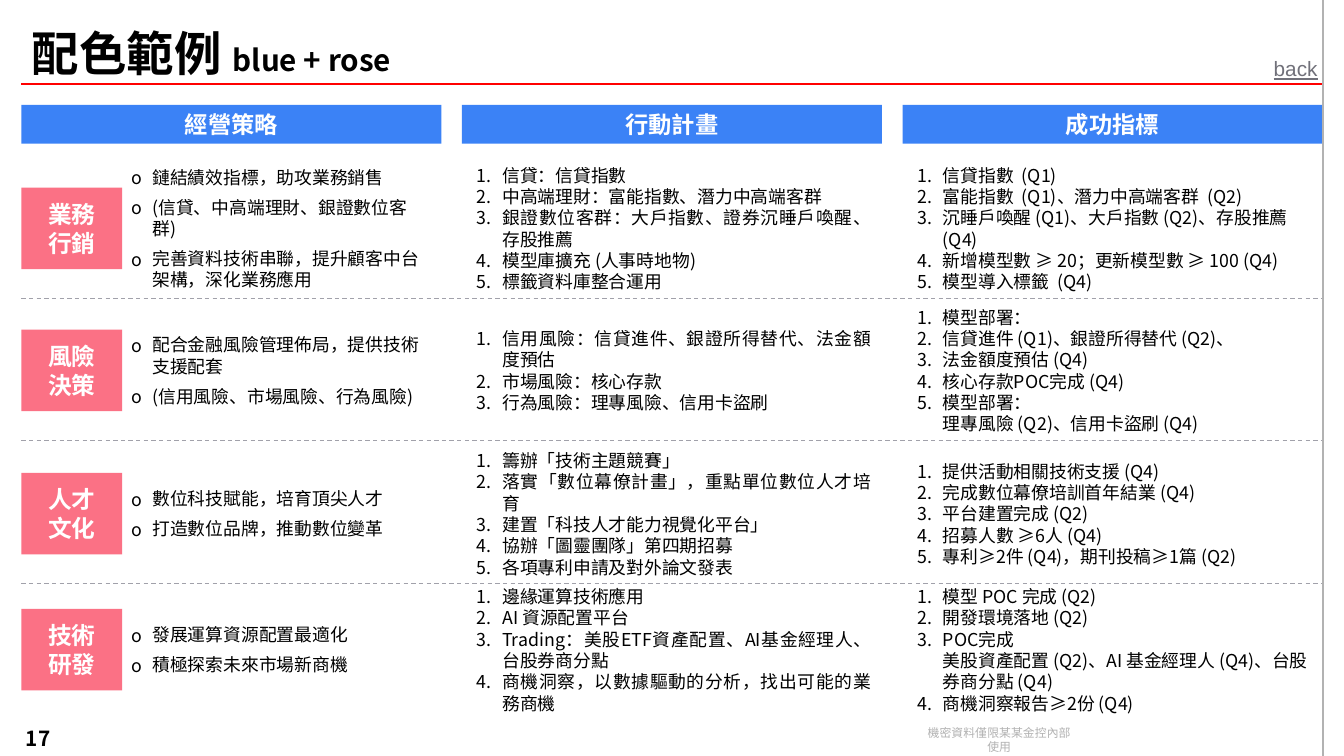
from lxml.etree import SubElement
from pptx import Presentation
from pptx.dml.color import RGBColor
from pptx.enum.dml import MSO_LINE
from pptx.enum.shapes import MSO_CONNECTOR, MSO_SHAPE
from pptx.enum.text import MSO_ANCHOR, MSO_AUTO_SIZE, PP_ALIGN
from pptx.oxml.ns import qn
from pptx.util import Cm, Pt

FONT = "Noto Sans CJK SC"
BLACK = RGBColor(0x00, 0x00, 0x00)
WHITE = RGBColor(0xFF, 0xFF, 0xFF)
BLUE = RGBColor(0x3B, 0x82, 0xF6)
ROSE = RGBColor(0xFB, 0x71, 0x85)
RED = RGBColor(0xFF, 0x00, 0x00)
DASH = RGBColor(0xA1, 0xA1, 0xAA)
PALE = RGBColor(0xB2, 0xB2, 0xB2)
GRAY = RGBColor(0x71, 0x71, 0x7A)

LEFT, RIGHT, WIDE, STEP = 0.51, 31.5, 10, 10.49
TAG_W, TAG_H, LIST_H = 2.4, 1.94, 3.1
HEADS = ["經營策略", "行動計畫", "成功指標"]
RULES = [7.11, 10.49, 13.89]
ROWS = [
    (5.44, ["業務", "行銷"],
     ["鏈結績效指標，助攻業務銷售\n(信貸、中高端理財、銀證數位客群)",
      "完善資料技術串聯，提升顧客中台架構，深化業務應用"],
     ["信貸：信貸指數", "中高端理財：富能指數、潛力中高端客群",
      "銀證數位客群：大戶指數、證券沉睡戶喚醒、存股推薦",
      "模型庫擴充 (人事時地物)", "標籤資料庫整合運用"],
     ["信貸指數  (Q1)", "富能指數  (Q1)、潛力中高端客群  (Q2)",
      "沉睡戶喚醒 (Q1)、大戶指數 (Q2)、存股推薦 (Q4)",
      "新增模型數 ≥ 20；更新模型數 ≥ 100 (Q4)", "模型導入標籤  (Q4)"]),
    (8.82, ["風險", "決策"],
     ["配合金融風險管理佈局，提供技術支援配套\n(信用風險、市場風險、行為風險)"],
     ["信用風險：信貸進件、銀證所得替代、法金額度預估",
      "市場風險：核心存款", "行為風險：理專風險、信用卡盜刷"],
     ["模型部署：\n信貸進件 (Q1)、銀證所得替代 (Q2)、\n法金額度預估 (Q4)",
      "核心存款POC完成 (Q4)",
      "模型部署：\n理專風險 (Q2)、信用卡盜刷 (Q4)"]),
    (12.23, ["人才", "文化"],
     ["數位科技賦能，培育頂尖人才", "打造數位品牌，推動數位變革"],
     ["籌辦「技術主題競賽」", "落實「數位幕僚計畫」，重點單位數位人才培育",
      "建置「科技人才能力視覺化平台」", "協辦「圖靈團隊」第四期招募",
      "各項專利申請及對外論文發表"],
     ["提供活動相關技術支援 (Q4)", "完成數位幕僚培訓首年結業 (Q4)",
      "平台建置完成 (Q2)", "招募人數 ≥6人 (Q4)",
      "專利≥2件 (Q4)，期刊投稿≥1篇 (Q2)"]),
    (15.47, ["技術", "研發"],
     ["發展運算資源配置最適化", "積極探索未來市場新商機"],
     ["邊緣運算技術應用", "AI 資源配置平台",
      "Trading：美股ETF資產配置、AI基金經理人、台股券商分點",
      "商機洞察，以數據驅動的分析，找出可能的業務商機"],
     ["模型 POC 完成 (Q2)", "開發環境落地 (Q2)",
      "POC完成\n美股資產配置 (Q2)、AI 基金經理人 (Q4)、台股券商分點 (Q4)",
      "商機洞察報告≥2份 (Q4)"]),
]


def style(para, size, color, bold=False, name=FONT):
    """Set the font of a whole paragraph."""
    font = para.font
    font.size, font.bold, font.name = Pt(size), bold, name
    font.color.rgb = color
    SubElement(font._rPr, qn("a:ea"), typeface=name)


def frame(shape, side=0.25, edge=0.13):
    """Prepare a wrapped, vertically centred text frame."""
    text = shape.text_frame
    text.word_wrap = True
    text.auto_size = MSO_AUTO_SIZE.NONE
    text.vertical_anchor = MSO_ANCHOR.MIDDLE
    text.margin_left = text.margin_right = Cm(side)
    text.margin_top = text.margin_bottom = Cm(edge)
    return text


def place(shape, x, y, w, h):
    """Move a placeholder to a box."""
    shape.left, shape.top, shape.width, shape.height = Cm(x), Cm(y), Cm(w), Cm(h)


def add_box(slide, x, y, w, h):
    """Add an empty text box."""
    return slide.shapes.add_textbox(Cm(x), Cm(y), Cm(w), Cm(h))


def fill_text(text, lines, size, color, bold=False, align=PP_ALIGN.CENTER, name=FONT):
    """Write plain lines into a text frame."""
    text.text = "\n".join(lines)
    for para in text.paragraphs:
        para.alignment = align
        style(para, size, color, bold, name)


def fill_list(shape, items, mark, hang, gap=0, align=PP_ALIGN.LEFT):
    """Write a bulleted or numbered list into a shape."""
    text = frame(shape)
    text.text = items[0]
    for item in items[1:]:
        text.add_paragraph().text = item
    for num, para in enumerate(text.paragraphs):
        para.alignment = align
        para.space_before = Pt(gap if num else 0)
        props = para._p.get_or_add_pPr()
        props.set("marL", str(Cm(0.71)))
        props.set("indent", str(-Cm(hang)))
        tint = SubElement(props, qn("a:buClr"))
        SubElement(tint, qn("a:srgbClr"), val=str(BLACK))
        SubElement(props, qn("a:buFont"), typeface=FONT)
        if mark:
            SubElement(props, qn("a:buChar"), char=mark)
        else:
            SubElement(props, qn("a:buAutoNum"), type="arabicPeriod")
        style(para, 12, BLACK)


def add_block(slide, x, y, w, h, color, lines, size):
    """Add a filled rectangle with bold white text."""
    block = slide.shapes.add_shape(MSO_SHAPE.RECTANGLE, Cm(x), Cm(y), Cm(w), Cm(h))
    block.shadow.inherit = False
    block.fill.solid()
    block.fill.fore_color.rgb = color
    block.line.fill.background()
    fill_text(frame(block), lines, size, WHITE, True)


def add_rule(slide, x, y, end_x, end_y, color, width, dash=None):
    """Add a straight line."""
    rule = slide.shapes.add_connector(
        MSO_CONNECTOR.STRAIGHT, Cm(x), Cm(y), Cm(end_x), Cm(end_y))
    rule.line.color.rgb = color
    rule.line.width = Pt(width)
    if dash:
        rule.line.dash_style = dash
    SubElement(rule._element.spPr, qn("a:effectLst"))


def add_title(slide, x, y, w, h):
    """Fill the title, underline it and add the back label."""
    title = slide.shapes.title
    place(title, x, y, w, h)
    para = frame(title).paragraphs[0]
    para.alignment = PP_ALIGN.LEFT
    style(para, 32, BLACK, True)
    for words, size in (("配色範例 ", 32), ("blue + rose", 20)):
        run = para.add_run()
        run.text = words
        run.font.size = Pt(size)
    add_rule(slide, x, y + h, x + w, y + h, RED, 1.25)
    text = frame(add_box(slide, x + w - 1.55, y + h - 0.81, 1.8, 0.86))
    fill_text(text, ["back"], 14, GRAY, name="Arial")
    text.paragraphs[0].font.underline = True


def add_row(slide, body, x, mid, row):
    """Place one row's tag and three lists around its middle line."""
    tag, plan, acts, goals = row
    top = mid - LIST_H / 2
    place(body, x + 2.16, top, WIDE - 2.16, LIST_H)
    fill_list(body, plan, "o", 0.51, 5.9)
    fill_list(add_box(slide, x + STEP, top, WIDE, LIST_H), acts, None, 0.61,
              align=PP_ALIGN.JUSTIFY)
    fill_list(add_box(slide, x + 2 * STEP, top, WIDE, LIST_H), goals, None, 0.61)
    add_block(slide, x, mid - TAG_H / 2, TAG_W, TAG_H, ROSE, tag, 16)


def add_grid(slide, x, y):
    """Build the column heads, the rows and the dashed rules."""
    for col, head in enumerate(HEADS):
        add_block(slide, x + col * STEP, y, WIDE, 0.92, BLUE, [head], 15.7)
    bodies = [item for item in slide.placeholders if item.placeholder_format.idx]
    for body, (mid, *row) in zip(bodies, ROWS):
        add_row(slide, body, x, mid, row)
    for rule in RULES:
        add_rule(slide, x, rule, RIGHT, rule, DASH, 0.75, MSO_LINE.DASH)


def add_foot(slide, y):
    """Add the page number, the notice and the right edge."""
    page = frame(add_box(slide, -0.53, y, 2.06, 1.37), 0.33, 0.33)
    fill_text(page, ["17"], 14, BLACK, True, PP_ALIGN.RIGHT, "Noto Sans CJK TC")
    note = frame(add_box(slide, 21.72, y + 0.43, 4.14, 0.58))
    fill_text(note, ["機密資料僅限某某金控內部使用"], 8, PALE)
    note.paragraphs[0].line_spacing = Pt(9.6)
    add_rule(slide, RIGHT, 0, RIGHT, 18, PALE, 0.75)


def main():
    """Build and save the slide."""
    deck = Presentation()
    deck.slide_width, deck.slide_height = Cm(32), Cm(18)
    slide = deck.slides.add_slide(deck.slide_layouts.get_by_name("Comparison"))
    add_title(slide, LEFT, 0.51, RIGHT - LEFT, 1.5)
    add_grid(slide, LEFT, 2.5)
    add_foot(slide, 16.89)
    deck.save("out.pptx")


if __name__ == "__main__":
    main()
